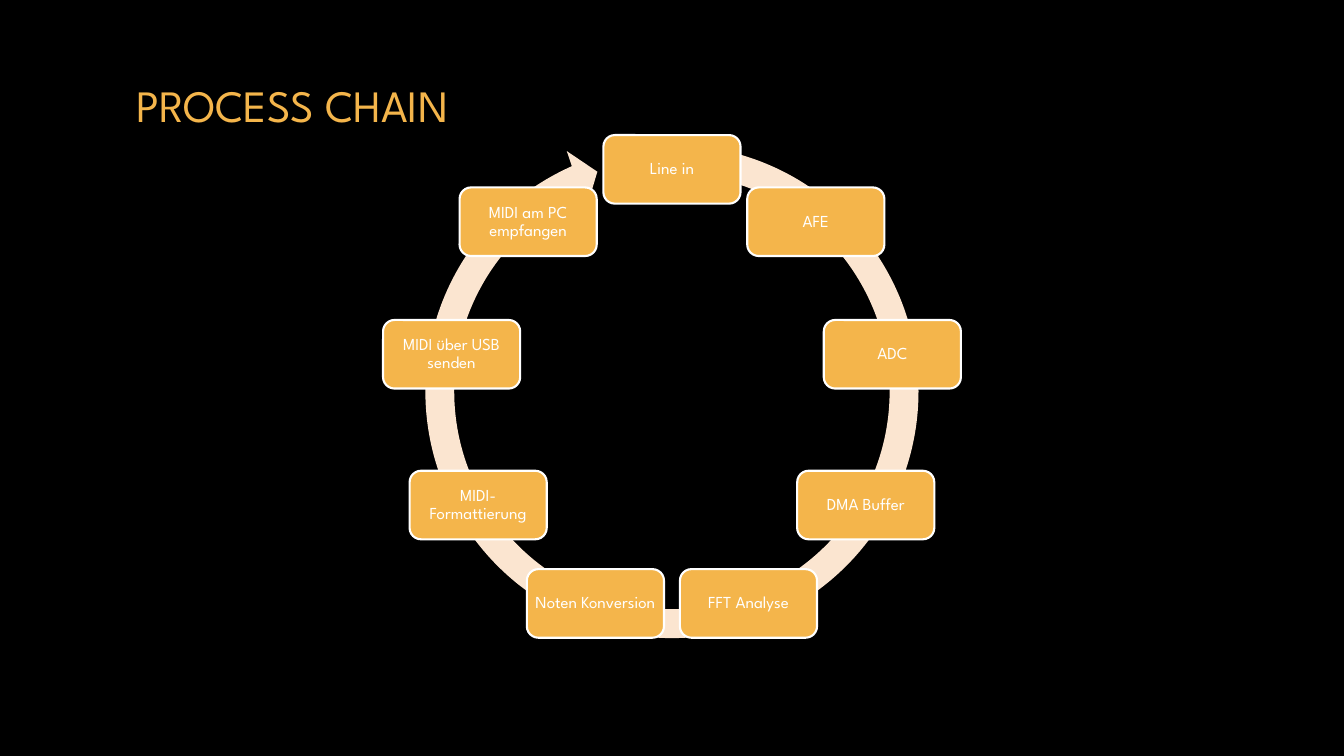
import math
from dataclasses import dataclass

import pptx
import pptx.dml.color
import pptx.enum.shapes
import pptx.enum.text
import pptx.shapes.autoshape
import pptx.slide
import pptx.util

COLUMNS, ROWS = 160, 90
CELL = pptx.util.Inches(13.33) / COLUMNS


@dataclass(frozen=True)
class Theme:
    background: str = "000000"
    accent: str = "F4B54B"
    ring: str = "FBE5D0"
    light: str = "FFFFFF"
    font: str = "League Spartan"
    title_size: int = 32
    step_size: int = 12
    outline: float = 1.5


@dataclass(frozen=True)
class Box:
    """A rectangle in grid columns and rows, given by its centre."""
    x: float
    y: float
    width: float
    height: float


@dataclass(frozen=True)
class Step:
    label: str
    box: Box


THEME = Theme()
STEP_LABELS = (
    "Line in", "AFE", "ADC", "DMA Buffer", "FFT Analyse", "Noten Konversion",
    "MIDI-Formattierung", "MIDI über USB senden", "MIDI am PC empfangen",
)
CENTRE_X, CENTRE_Y, RADIUS = COLUMNS / 2, 46.8, 26.64
STEP_WIDTH, STEP_HEIGHT = 16.32, 8.16
TITLE_BOX = Box(80, 12.9, 130, 9.7)
RING_BOX = Box(CENTRE_X, 46.62, 62.52, 62.52)
# Adjustments hold 60000ths of a degree divided by 100000.
DEGREE = 0.6
RING_ADJUSTMENTS = (5.5 / 100, 5.51 * DEGREE, 245.74 * DEGREE, 280.34 * DEGREE, 5.8 / 100)


def colour(value: str) -> pptx.dml.color.RGBColor:
    return pptx.dml.color.RGBColor.from_string(value)


def extent(box: Box) -> tuple[int, int, int, int]:
    """Left, top, width and height of a grid box in EMU."""
    cells = (box.x - box.width / 2, box.y - box.height / 2, box.width, box.height)
    left, top, width, height = (round(cell * CELL) for cell in cells)
    return left, top, width, height


def steps_on_circle() -> list[Step]:
    """Spread the steps evenly, clockwise from the top."""
    steps = []
    for index, label in enumerate(STEP_LABELS):
        angle = math.tau * index / len(STEP_LABELS)
        x = CENTRE_X + RADIUS * math.sin(angle)
        y = CENTRE_Y - RADIUS * math.cos(angle)
        steps.append(Step(label, Box(x, y, STEP_WIDTH, STEP_HEIGHT)))
    return steps


def write(frame: pptx.text.text.TextFrame, text: str, size: int, ink: str,
          alignment: pptx.enum.text.PP_ALIGN) -> None:
    frame.text = text
    frame.word_wrap = True
    frame.auto_size = pptx.enum.text.MSO_AUTO_SIZE.NONE
    frame.vertical_anchor = pptx.enum.text.MSO_ANCHOR.MIDDLE
    paragraph = frame.paragraphs[0]
    paragraph.alignment = alignment
    paragraph.line_spacing = 0.9
    font = paragraph.runs[0].font
    font.name = THEME.font
    font.size = pptx.util.Pt(size)
    font.color.rgb = colour(ink)


def add_filled(slide: pptx.slide.Slide, kind: pptx.enum.shapes.MSO_SHAPE,
               box: Box, fill: str) -> pptx.shapes.autoshape.Shape:
    shape = slide.shapes.add_shape(kind, *extent(box))
    shape.shadow.inherit = False
    shape.fill.solid()
    shape.fill.fore_color.rgb = colour(fill)
    shape.line.fill.background()
    return shape


def add_title(slide: pptx.slide.Slide) -> None:
    title = slide.shapes.title
    title.left, title.top, title.width, title.height = extent(TITLE_BOX)
    write(title.text_frame, "PROCESS CHAIN", THEME.title_size, THEME.accent,
          pptx.enum.text.PP_ALIGN.LEFT)


def add_ring(slide: pptx.slide.Slide) -> None:
    ring = add_filled(slide, pptx.enum.shapes.MSO_SHAPE.CIRCULAR_ARROW, RING_BOX, THEME.ring)
    for index, value in enumerate(RING_ADJUSTMENTS):
        ring.adjustments[index] = value


def add_step(slide: pptx.slide.Slide, step: Step) -> None:
    card = add_filled(slide, pptx.enum.shapes.MSO_SHAPE.ROUNDED_RECTANGLE,
                      step.box, THEME.accent)
    card.line.color.rgb = colour(THEME.light)
    card.line.width = pptx.util.Pt(THEME.outline)
    frame = card.text_frame
    inset = pptx.util.Inches(0.04)
    frame.margin_left = frame.margin_right = inset
    frame.margin_top = frame.margin_bottom = inset
    write(frame, step.label, THEME.step_size, THEME.light, pptx.enum.text.PP_ALIGN.CENTER)


def main() -> None:
    deck = pptx.Presentation()
    deck.slide_width = round(COLUMNS * CELL)
    deck.slide_height = round(ROWS * CELL)
    slide = deck.slides.add_slide(deck.slide_layouts.get_by_name("Title Only"))
    slide.background.fill.solid()
    slide.background.fill.fore_color.rgb = colour(THEME.background)
    add_title(slide)
    add_ring(slide)
    for step in steps_on_circle():
        add_step(slide, step)
    deck.save("out.pptx")


if __name__ == "__main__":
    main()
